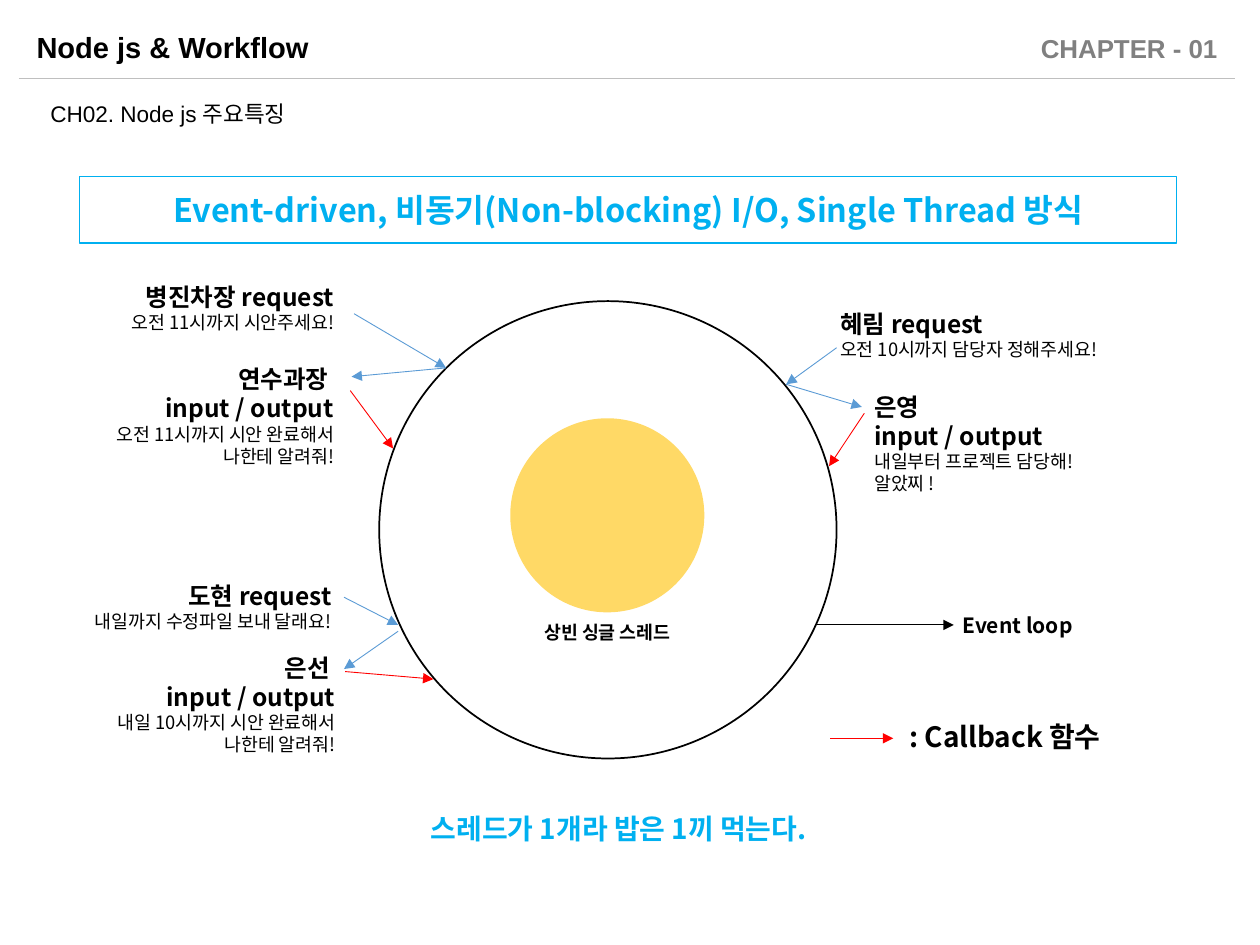
from lxml.etree import SubElement
from pptx import Presentation
from pptx.dml.color import RGBColor
from pptx.enum.shapes import MSO_CONNECTOR, MSO_SHAPE
from pptx.enum.text import MSO_ANCHOR, MSO_AUTO_SIZE, PP_ALIGN
from pptx.oxml.ns import qn
from pptx.util import Inches, Pt

BLACK = RGBColor(0x00, 0x00, 0x00)
GREY = RGBColor(0x80, 0x80, 0x80)
RULE = RGBColor(0xBF, 0xBF, 0xBF)
BLUE = RGBColor(0x5B, 0x9B, 0xD5)
RED = RGBColor(0xFF, 0x00, 0x00)
CYAN = RGBColor(0x00, 0xB0, 0xF0)
YOLK = RGBColor(0xFF, 0xD9, 0x66)

LATIN, KOREAN = "Arial", "Noto Sans CJK KR"
LEFT, CENTER, RIGHT = PP_ALIGN.LEFT, PP_ALIGN.CENTER, PP_ALIGN.RIGHT
HEAD, BODY = 14, 10.5

# The slide is a grid of square cells, 100 columns by 75 rows.
COLS, ROWS, CELL = 100, 75, Inches(0.1)

# Box, alignment, heading lines, body paragraphs
NOTES = [
    ((6.7, 21.9, 20.8, 5.1), RIGHT, ["병진차장 request"], ["오전 11시까지 시안주세요!"]),
    ((6.7, 28.4, 20.8, 9.3), RIGHT, ["연수과장 ", "input / output"],
     ["오전 11시까지 시안 완료해서 나한테 알려줘!"]),
    ((65.7, 24, 24.5, 5.1), LEFT, ["혜림 request"], ["오전 10시까지 담당자 정해주세요!"]),
    ((68.4, 30.6, 20.8, 9.3), LEFT, ["은영 ", "input / output"],
     ["내일부터 프로젝트 담당해!", "알았찌 !"]),
    ((5.3, 45.6, 22, 5.1), RIGHT, ["도현 request"], ["내일까지 수정파일 보내 달래요!"]),
    ((6.8, 51.3, 20.8, 9.3), RIGHT, ["은선 ", "input / output"],
     ["내일 10시까지 시안 완료해서 나한테 알려줘!"]),
]

# Colour, start, end
ARROWS = [
    (BLUE, (28.1, 24.9), (35.4, 29.2)),
    (BLUE, (35.4, 29.2), (27.9, 29.9)),
    (RED, (27.8, 31), (31.2, 35.6)),
    (BLUE, (66.4, 27.6), (62.4, 30.5)),
    (BLUE, (62.4, 30.5), (68.4, 32.3)),
    (RED, (68.6, 32.8), (65.8, 37)),
    (BLUE, (27.3, 47.4), (31.6, 49.6)),
    (BLUE, (31.6, 50.1), (27.3, 53.1)),
    (RED, (27.4, 53.3), (34.4, 53.9)),
    (RED, (65.9, 58.6), (70.9, 58.6)),
    (BLACK, (64.7, 49.6), (75.7, 49.6)),
]


def grid(*cells):
    return [int(c * CELL) for c in cells]


def add_run(p, text, size, color=BLACK, bold=True, font=KOREAN):
    r = p.add_run()
    r.text = text
    r.font.size, r.font.bold, r.font.name = Pt(size), bold, font
    r.font.color.rgb = color
    SubElement(r.font._element, qn("a:ea"), typeface=KOREAN)


def prepare(sp, anchor=MSO_ANCHOR.TOP, insets=(1, 0.5)):
    """Set wrapping, fitting and insets (side, top and bottom) of a text frame."""
    tf = sp.text_frame
    tf.word_wrap, tf.auto_size = True, MSO_AUTO_SIZE.SHAPE_TO_FIT_TEXT
    tf.vertical_anchor = anchor
    side, edge = grid(*insets)
    tf.margin_left = tf.margin_right = side
    tf.margin_top = tf.margin_bottom = edge
    return tf


def add_label(shapes, box, text, size, align=LEFT, insets=(1, 0.5), **style):
    tf = prepare(shapes.add_textbox(*grid(*box)), insets=insets)
    p = tf.paragraphs[0]
    p.alignment = align
    add_run(p, text, size, **style)


def add_title(s, box, text, size):
    sp = s.shapes.title
    sp.left, sp.top, sp.width, sp.height = grid(*box)
    p = prepare(sp).paragraphs[0]
    p.alignment = LEFT
    add_run(p, text, size, font=LATIN)


def add_note(shapes, box, align, heading, body):
    tf = prepare(shapes.add_textbox(*grid(*box)))
    p = tf.paragraphs[0]
    for line in heading:
        add_run(p, line, HEAD)
        p.add_line_break()
    add_run(p, body[0], BODY, bold=False)
    for line in body[1:]:
        add_run(tf.add_paragraph(), line, BODY, bold=False)
    for p in tf.paragraphs:
        p.alignment = align


def add_outline(shapes, kind, box, fill=None, line=None, width=1):
    sp = shapes.add_shape(kind, *grid(*box))
    sp.shadow.inherit = False
    if fill is None:
        sp.fill.background()
    else:
        sp.fill.solid()
        sp.fill.fore_color.rgb = fill
    if line is None:
        sp.line.fill.background()
    else:
        sp.line.color.rgb, sp.line.width = line, Pt(width)
    return sp


def add_line(shapes, color, start, end, arrow=True):
    c = shapes.add_connector(MSO_CONNECTOR.STRAIGHT, *grid(*start, *end))
    c.line.color.rgb, c.line.width = color, Pt(0.5)
    if arrow:
        SubElement(c.line._get_or_add_ln(), qn("a:tailEnd"), type="triangle")
    SubElement(c._element.spPr, qn("a:effectLst"))


def add_banner(shapes, box, text, size):
    sp = add_outline(shapes, MSO_SHAPE.RECTANGLE, box, line=CYAN, width=0.75)
    p = prepare(sp, MSO_ANCHOR.MIDDLE, insets=(0.4, 1.1)).paragraphs[0]
    p.alignment = CENTER
    add_run(p, text, size, CYAN)


def add_egg(shapes):
    yolk = shapes.add_group_shape().shapes
    add_outline(yolk, MSO_SHAPE.OVAL, (40.5, 33.2, 15.4, 15.4), fill=YOLK)
    add_label(yolk, (40.5, 48.8, 15.4, 2.8), "상빈 싱글 스레드", BODY, CENTER)
    add_outline(shapes, MSO_SHAPE.OVAL, (30.1, 23.9, 36.3, 36.3), line=BLACK)


def main():
    prs = Presentation()
    prs.slide_width, prs.slide_height = COLS * CELL, ROWS * CELL
    s = prs.slides.add_slide(prs.slide_layouts[5])
    shapes = s.shapes

    add_title(s, (1.9, 1.8, 50.8, 3.8), "Node js & Workflow", 16.6)
    add_label(shapes, (77.5, 2.1, 20.1, 3.5), "CHAPTER - 01", 14.8, RIGHT,
              color=GREY, font=LATIN)
    add_line(shapes, RULE, (1.5, 6.2), (98, 6.2), arrow=False)
    add_label(shapes, (3.6, 7.5, 46.2, 2.9), "CH02. Node js 주요특징", 12.9,
              insets=(0.4, 0.4), bold=False, font=LATIN)
    add_banner(shapes, (6.3, 14, 87.1, 5.3),
               "Event-driven, 비동기(Non-blocking) I/O, Single Thread 방식", 18.5)

    add_egg(shapes)
    for note in NOTES:
        add_note(shapes, *note)
    for arrow in ARROWS:
        add_line(shapes, *arrow)

    add_label(shapes, (75.4, 48.1, 15.8, 3), "Event loop", 12)
    add_label(shapes, (71.2, 56.6, 18.7, 3.7), ": Callback 함수", 16)
    add_label(shapes, (6.9, 63.9, 84.4, 3.7), "스레드가 1개라 밥은 1끼 먹는다.", 16,
              CENTER, color=CYAN)
    prs.save("out.pptx")


if __name__ == "__main__":
    main()
